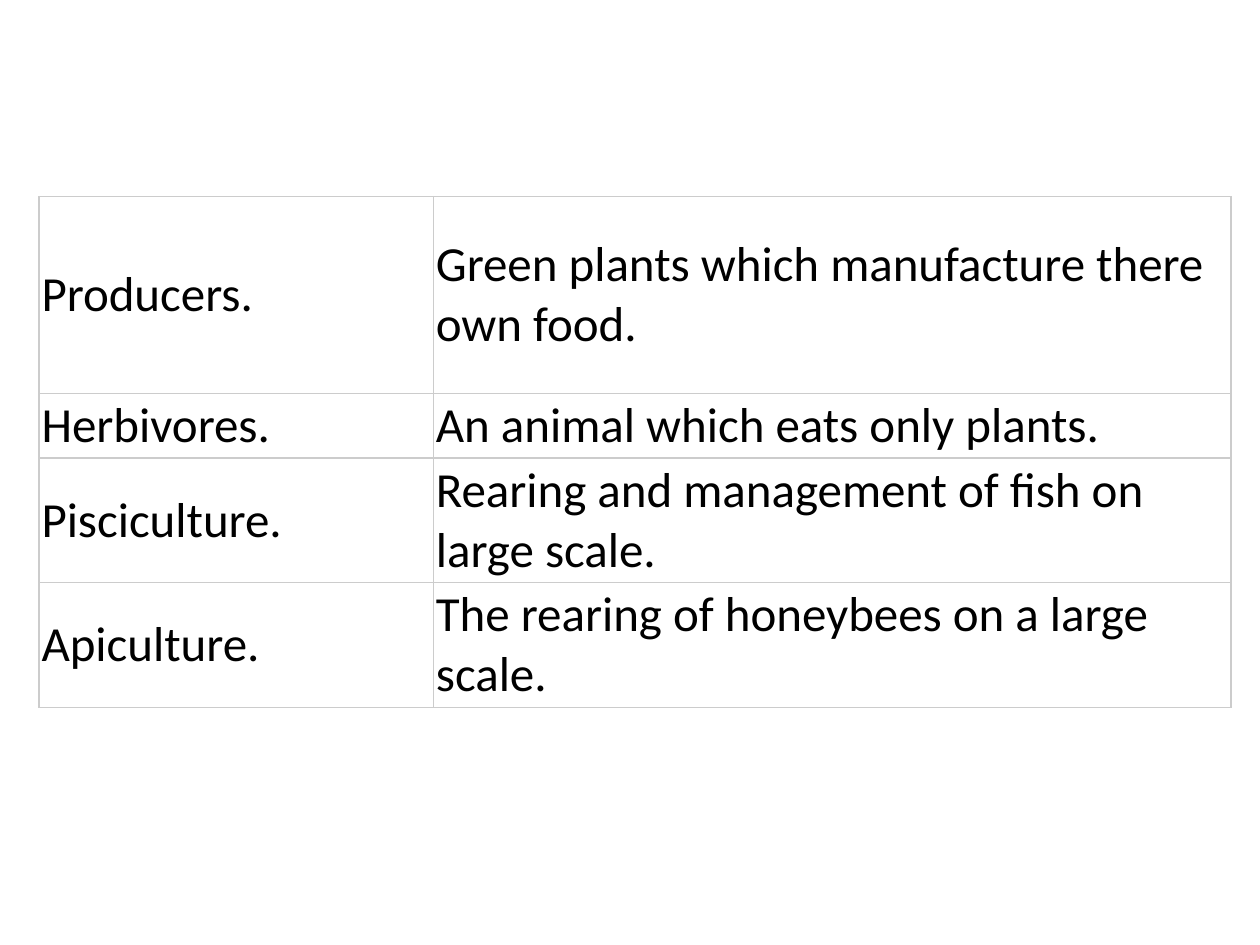
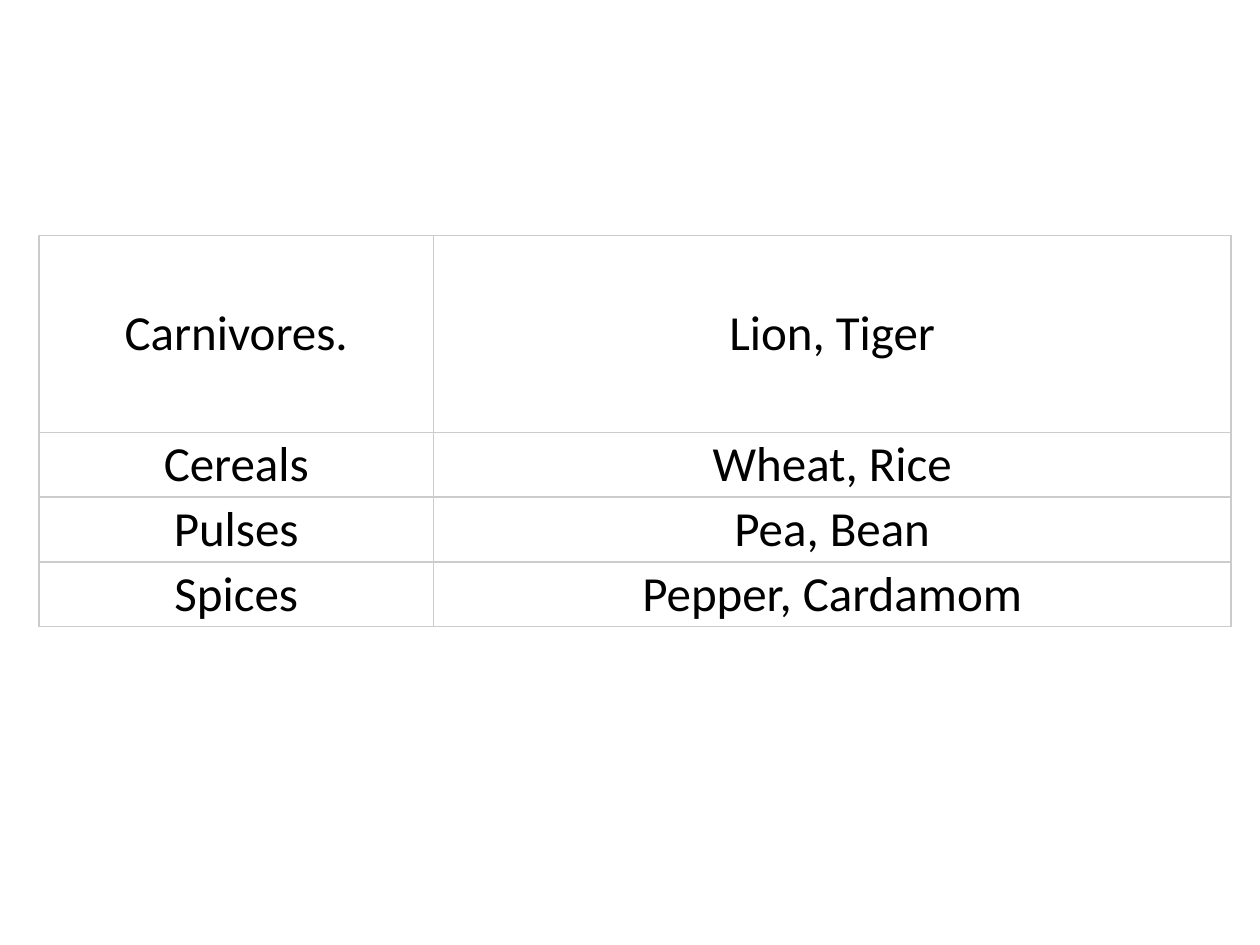
from pptx import Presentation
from pptx.dml.color import RGBColor
from pptx.enum.text import MSO_ANCHOR, PP_ALIGN
from pptx.oxml import parse_xml
from pptx.oxml.ns import nsdecls
from pptx.util import Inches, Pt

LEFT, CENTER = PP_ALIGN.LEFT, PP_ALIGN.CENTER
MIDDLE = MSO_ANCHOR.MIDDLE

SLIDES = [
    dict(top=1.56, height=3.99, align=LEFT, side_insets=(0.02, 0.02), rows=[
        ("Producers.", "Green plants which manufacture there own food."),
        ("Herbivores.", "An animal which eats only plants."),
        ("Pisciculture.", "Rearing and management of fish on large scale."),
        ("Apiculture.", "The rearing of honeybees on a large scale."),
    ]),
    dict(top=1.87, height=3.09, align=CENTER, side_insets=(0.02, 0.03), rows=[
        ("Carnivores.", "Lion, Tiger"),
        ("Cereals", "Wheat, Rice"),
        ("Pulses", "Pea, Bean"),
        ("Spices", "Pepper, Cardamom"),
    ]),
]

THEME = dict(
    font=dict(name="Calibri", size=Pt(28), bold=False),
    text=RGBColor(0, 0, 0),
    border="CCCCCC",
    border_width=Pt(0.75),
)
SLIDE_W, SLIDE_H = 10, 7.5
TABLE_LEFT = 0.31
COLUMNS = (3.13, 6.33)
ROW_HEIGHTS = (1.56, 0.27, 0.5, 0.5)  # minimum heights; rows grow with their text
INSET_V = 0.02


def set_attrs(target, values):
    for name, value in values.items():
        setattr(target, name, value)


def add_borders(cell):
    tc_pr = cell._tc.get_or_add_tcPr()
    for i, side in enumerate(("lnL", "lnR", "lnT", "lnB")):
        tc_pr.insert(i, parse_xml(
            f'<a:{side} {nsdecls("a")} w="{THEME["border_width"]}">'
            f'<a:solidFill><a:srgbClr val="{THEME["border"]}"/></a:solidFill>'
            f'</a:{side}>'))


def fill_cell(cell, text, align, side_inset):
    set_attrs(cell, dict(
        vertical_anchor=MIDDLE,
        margin_left=Inches(side_inset), margin_right=Inches(side_inset),
        margin_top=Inches(INSET_V), margin_bottom=Inches(INSET_V)))
    cell.fill.background()
    add_borders(cell)
    p = cell.text_frame.paragraphs[0]
    p.alignment = align
    r = p.add_run()
    r.text = text
    set_attrs(r.font, THEME["font"])
    r.font.color.rgb = THEME["text"]


def add_term_table(slide, top, height, align, side_insets, rows):
    frame = slide.shapes.add_table(
        len(rows), len(COLUMNS), Inches(TABLE_LEFT), Inches(top),
        Inches(sum(COLUMNS)), Inches(height))
    table = frame.table
    set_attrs(table, dict(first_row=False, horz_banding=False))
    for column, width in zip(table.columns, COLUMNS):
        column.width = Inches(width)
    for row, row_height, texts in zip(table.rows, ROW_HEIGHTS, rows):
        row.height = Inches(row_height)
        for cell, text, inset in zip(row.cells, texts, side_insets):
            fill_cell(cell, text, align, inset)
    frame.height = Inches(height)


def main():
    prs = Presentation()
    prs.slide_width, prs.slide_height = Inches(SLIDE_W), Inches(SLIDE_H)
    blank = prs.slide_layouts[6]
    for content in SLIDES:
        add_term_table(prs.slides.add_slide(blank), **content)
    prs.save("out.pptx")


if __name__ == "__main__":
    main()
